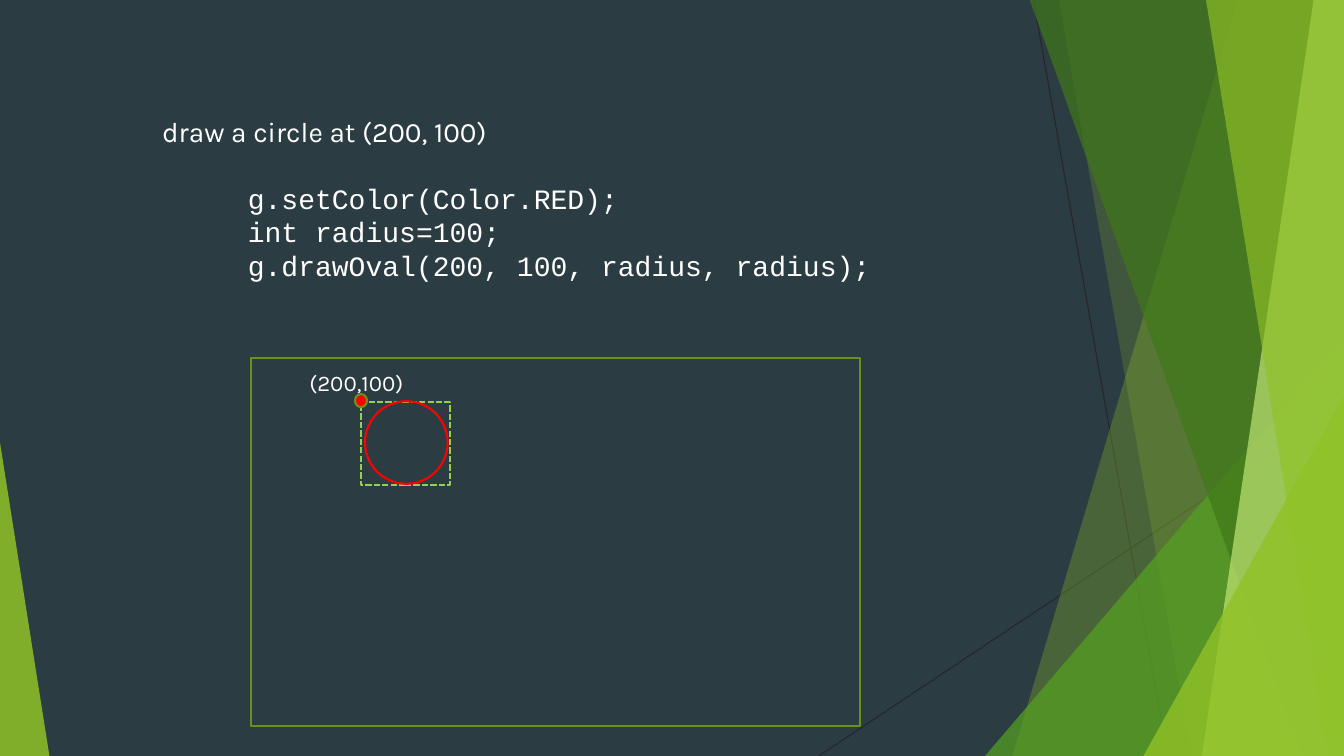
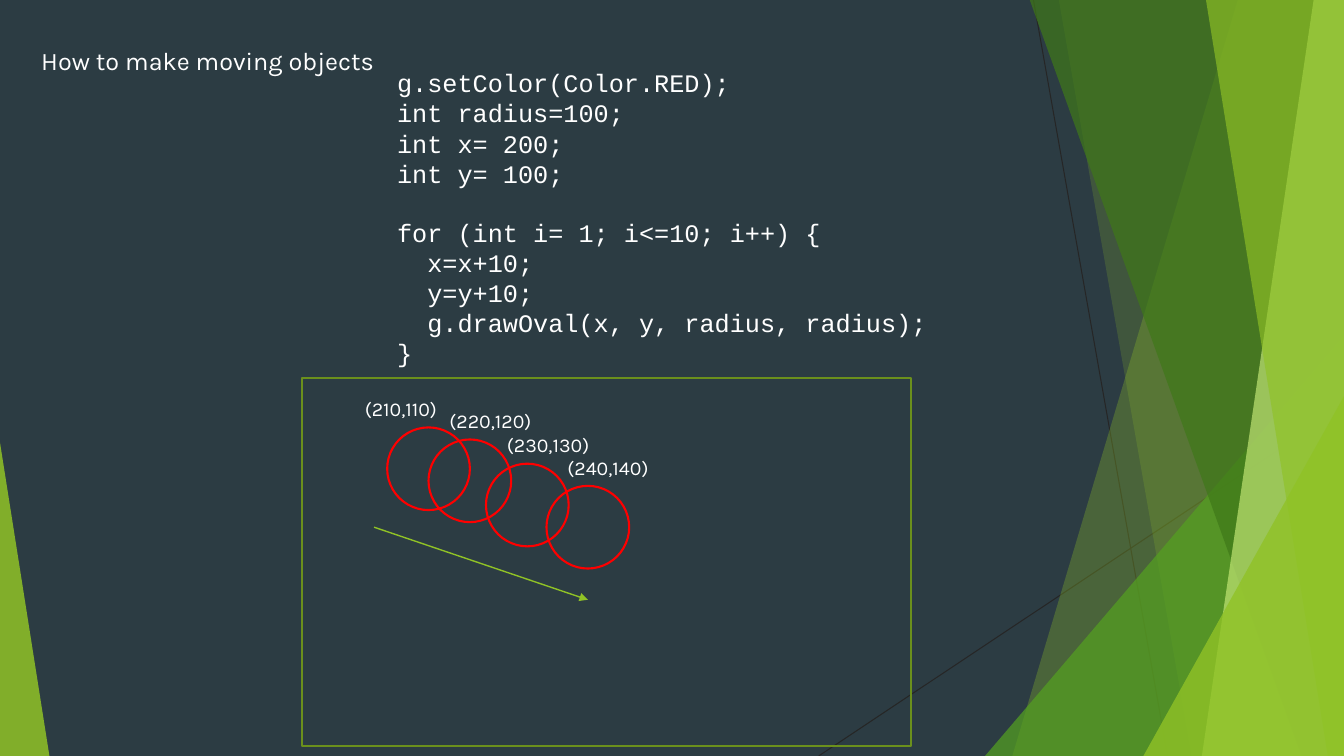
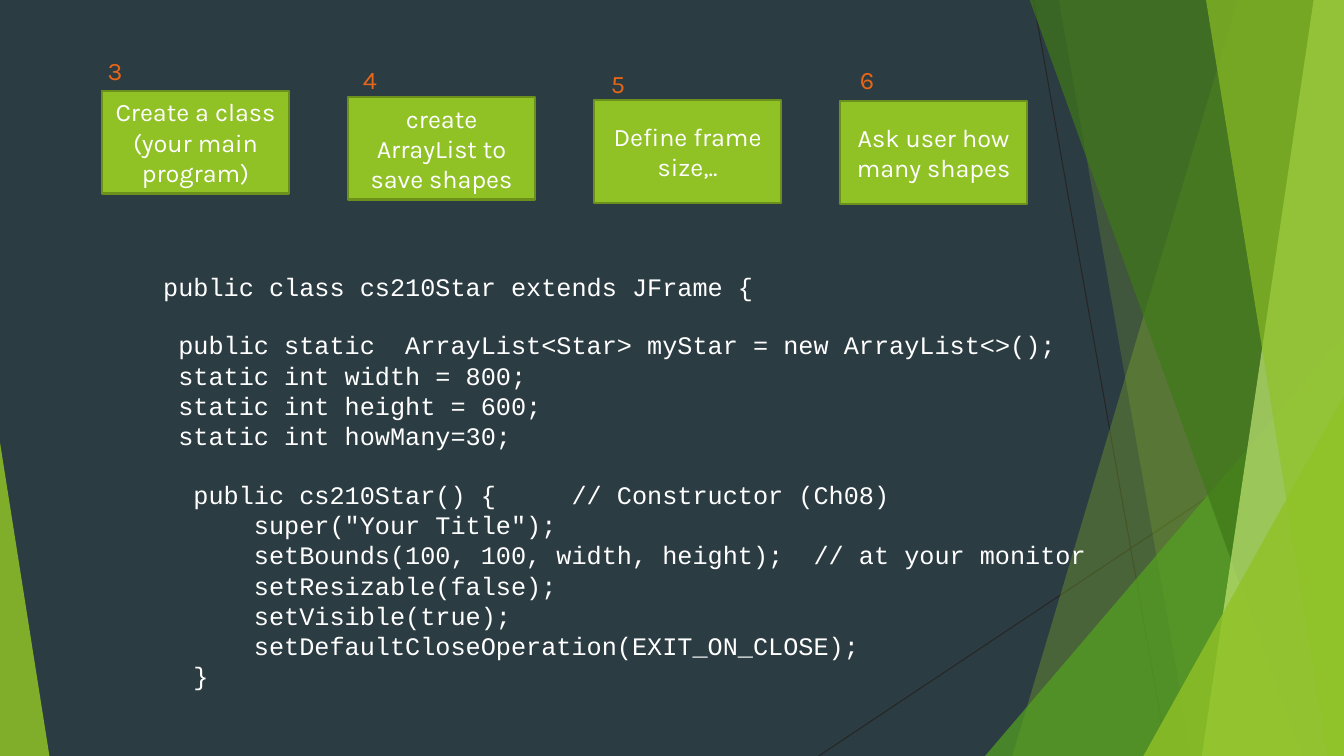
from dataclasses import dataclass

from lxml.etree import SubElement
from pptx import Presentation
from pptx.dml.color import RGBColor
from pptx.enum.dml import MSO_LINE
from pptx.enum.shapes import MSO_CONNECTOR, MSO_SHAPE
from pptx.enum.text import MSO_ANCHOR, MSO_AUTO_SIZE, PP_ALIGN
from pptx.oxml.ns import qn
from pptx.shapes.autoshape import Shape
from pptx.shapes.connector import Connector
from pptx.slide import Slide
from pptx.text.text import TextFrame
from pptx.util import Inches, Pt

COLS, ROWS = 133.3, 75
NIGHT, LIME, OLIVE, LEAF = "2C3C43", "90C226", "6B901C", "92D050"
WHITE, RED, RUST, INK = "FFFFFF", "FF0000", "E76618", "262626"
SANS, MONO = "Karla", "Courier New"


@dataclass(frozen=True)
class Band:
    """A strip from a slanted left edge to the right slide edge."""
    head: float
    foot: float
    tint: str
    alpha: int

    def draw(self, slide: Slide) -> None:
        """Draw the strip."""
        pen = slide.shapes.build_freeform(grid(self.head), grid(-0.1))
        edge = [(COLS, -0.1), (COLS, ROWS), (self.foot, ROWS)]
        pen.add_line_segments([(grid(x), grid(y)) for x, y in edge])
        style(pen.convert_to_shape(), self.tint, alpha=self.alpha)


@dataclass(frozen=True)
class Wedge:
    """A right triangle standing on the slide's bottom edge."""
    left: float
    top: float
    wide: float
    apex: float
    tint: str
    alpha: int

    def draw(self, slide: Slide) -> None:
        """Draw the triangle."""
        box = (self.left, self.top, self.wide, ROWS - self.top)
        shape = add(slide, MSO_SHAPE.ISOSCELES_TRIANGLE, box)
        shape.adjustments[0] = self.apex
        style(shape, self.tint, alpha=self.alpha)


@dataclass(frozen=True)
class Row:
    """A line of text, its tab columns and the blank rows above it."""
    text: str
    tabs: tuple[int, ...] = ()
    gap: int = 0


@dataclass(frozen=True)
class Ring:
    """A circle and the label above it."""
    left: float
    top: float
    mark: str
    shift: float = 1.1


@dataclass(frozen=True)
class Step:
    """A numbered box of the process."""
    num: str
    top: float
    num_x: float
    num_y: float
    text: tuple[str, ...]


SCENE = (
    Band(122.8, 100.4, LIME, 30),
    Band(105, 118.2, LIME, 20),
    Wedge(97.7, 33.3, 35.6, 1, "54A021", 72),
    Band(102.1, 129.1, "3F7819", 70),
    Band(130.3, 119.2, "C0E474", 70),
    Band(119.6, 131.7, LIME, 65),
    Wedge(113.4, 39.3, 19.9, 1, LIME, 80),
    Wedge(0, 43.9, 4.9, 0, LIME, 85),
)
CIRCLE = (
    Row("g.setColor(Color.RED);"),
    Row("int radius=100;"),
    Row("g.drawOval(200, 100, radius, radius);"),
)
MOVING = (
    Row("g.setColor(Color.RED);"),
    Row("int radius=100;"),
    Row("int x= 200;"),
    Row("int y= 100;"),
    Row("for (int i= 1; i<=10; i++) {", gap=1),
    Row("\tx=x+10;", (2,)),
    Row("\ty=y+10;", (2,)),
    Row("\tg.drawOval(x, y, radius, radius);", (2,)),
    Row("}"),
)
STAR = (
    Row("public class cs210Star extends JFrame {"),
    Row("\tpublic static\tArrayList<Star> myStar = new ArrayList<>();", (1, 16), 1),
    Row("\tstatic int width = 800;", (1,)),
    Row("\tstatic int height = 600;", (1,)),
    Row("\tstatic int howMany=30;", (1,)),
    Row("\tpublic cs210Star() {\t// Constructor (Ch08)", (2, 27), 1),
    Row('\tsuper("Your Title");', (6,)),
    Row("\tsetBounds(100, 100, width, height);\t// at your monitor", (6, 43)),
    Row("\tsetResizable(false);", (6,)),
    Row("\tsetVisible(true);", (6,)),
    Row("\tsetDefaultCloseOperation(EXIT_ON_CLOSE);", (6,)),
    Row("\t}", (2,)),
)
RINGS = (
    Ring(38.4, 42.4, "(210,110)", -3.2),
    Ring(42.5, 43.6, "(220,120)"),
    Ring(48.2, 46, "(230,130)"),
    Ring(54.2, 48.2, "(240,140)"),
)
STEPS = (
    Step("3", 9, 9.7, 5, ("Create a class", "(your main program)")),
    Step("4", 9.6, 35, 5.9, ("create ArrayList to save shapes",)),
    Step("5", 9.9, 59.6, 6.3, ("Define frame size,..",)),
    Step("6", 10, 84.3, 5.9, ("Ask user how many shapes",)),
)


def grid(count: float) -> int:
    """Turn grid cells, ten to the inch, into a length."""
    return Inches(count / 10)


def hue(code: str) -> RGBColor:
    """Turn a hex string into a colour."""
    return RGBColor.from_string(code)


def add(slide: Slide, kind: MSO_SHAPE, box: tuple[float, ...]) -> Shape:
    """Add a preset shape at left, top, width and height in cells."""
    return slide.shapes.add_shape(kind, *map(grid, box))


def style(shape: Shape, fill: str = "", line: str = "", alpha: int = 100) -> None:
    """Set a shape's fill and outline and drop its shadow."""
    shape.shadow.inherit = False
    if fill:
        shape.fill.solid()
        shape.fill.fore_color.rgb = hue(fill)
        if alpha < 100:
            tint = shape._element.spPr.find(f".//{qn('a:srgbClr')}")
            SubElement(tint, qn("a:alpha"), val=str(alpha * 1000))
    else:
        shape.fill.background()
    if line:
        shape.line.color.rgb = hue(line)
        shape.line.width = Pt(1.5)
    else:
        shape.line.fill.background()


def link(slide: Slide, ends: tuple[float, ...], tint: str, wide: float) -> Connector:
    """Draw a straight line between two grid points."""
    line = slide.shapes.add_connector(MSO_CONNECTOR.STRAIGHT, *map(grid, ends))
    line.line.color.rgb = hue(tint)
    line.line.width = Pt(wide)
    SubElement(line._element.spPr, qn("a:effectLst"))
    return line


def write(frame: TextFrame, rows: tuple[Row, ...], size: float, font: str = SANS,
          tint: str = WHITE, align: PP_ALIGN = PP_ALIGN.LEFT) -> None:
    """Write rows as paragraphs of one run each."""
    for num, row in enumerate(rows):
        para = frame.add_paragraph() if num else frame.paragraphs[0]
        para.alignment = align
        if row.gap:
            para.space_before = Pt(row.gap * size * 1.13)
        if row.tabs:
            stops = SubElement(para._p.get_or_add_pPr(), qn("a:tabLst"))
            for col in row.tabs:
                SubElement(stops, qn("a:tab"), pos=str(Pt(col * size * 0.6)), algn="l")
        run = para.add_run()
        run.text = row.text
        run.font.size = Pt(size)
        run.font.name = font
        run.font.color.rgb = hue(tint)


def note(slide: Slide, box: tuple[float, ...], rows: tuple[Row, ...], size: float,
         font: str = SANS, tint: str = WHITE, wrap: bool = False) -> None:
    """Add a text box that grows with its text."""
    frame = slide.shapes.add_textbox(*map(grid, box)).text_frame
    frame.word_wrap = wrap
    frame.auto_size = MSO_AUTO_SIZE.SHAPE_TO_FIT_TEXT
    write(frame, rows, size, font, tint)


def code(slide: Slide, box: tuple[float, ...], rows: tuple[Row, ...], size: float) -> None:
    """Add a program listing."""
    note(slide, box, rows, size, MONO, wrap=True)


def canvas(slide: Slide, left: float, top: float) -> None:
    """Draw the frame of the drawing window."""
    style(add(slide, MSO_SHAPE.RECTANGLE, (left, top, 60.4, 36.5)), line=OLIVE)


def ring(slide: Slide, left: float, top: float) -> None:
    """Draw a red circle."""
    style(add(slide, MSO_SHAPE.OVAL, (left, top, 8.2, 8.2)), line=RED)


def scene(slide: Slide) -> None:
    """Draw the shared backdrop and move it to the slide's layout."""
    link(slide, (102.5, 0, 115.8, ROWS), INK, 0.75)
    link(slide, (COLS, 40.3, 81.2, ROWS), INK, 0.75)
    for part in SCENE:
        part.draw(slide)
    layout = slide.slide_layout
    layout.background.fill.solid()
    layout.background.fill.fore_color.rgb = hue(NIGHT)
    for shape in list(slide.shapes):
        layout.shapes._spTree.append(shape._element)


def circle(slide: Slide) -> None:
    """Show one circle and its corner point."""
    note(slide, (15.1, 10.9, 35.4, 4.4), (Row("draw a circle at (200, 100)"),), 20)
    code(slide, (23.6, 17.5, 66.7, 11.1), CIRCLE, 20)
    canvas(slide, 24.9, 35.5)
    bounds = add(slide, MSO_SHAPE.RECTANGLE, (35.8, 39.9, 8.8, 8.2))
    style(bounds, line=LEAF)
    bounds.line.dash_style = MSO_LINE.SQUARE_DOT
    note(slide, (29.7, 36.1, 11.5, 3.7), (Row("(200,100)"),), 16)
    style(add(slide, MSO_SHAPE.OVAL, (35.2, 39.1, 1.2, 1.3)), RED, OLIVE)
    ring(slide, 36.2, 39.8)


def moving(slide: Slide) -> None:
    """Show a circle moving in steps."""
    note(slide, (3.1, 4, 35.1, 4), (Row("How to make moving objects"),), 18)
    code(slide, (38.4, 6.2, 66.7, 31.3), MOVING, 18)
    canvas(slide, 30, 37.5)
    for item in RINGS:
        box = (item.left + item.shift, item.top - 3.5, 10.4, 3.4)
        note(slide, box, (Row(item.mark),), 14)
        ring(slide, item.left, item.top)
    arrow = link(slide, (37.1, 52.3, 58.3, 59.5), LIME, 1)
    SubElement(arrow._element.spPr.find(qn("a:ln")), qn("a:tailEnd"), type="triangle")


def star(slide: Slide) -> None:
    """Show the program's steps and its class."""
    code(slide, (15.2, 26.4, 107.5, 49.5), STAR, 18)
    for num, step in enumerate(STEPS):
        box = add(slide, MSO_SHAPE.RECTANGLE, (10.1 + 24.4 * num, step.top, 18.6, 10.2))
        style(box, LIME, OLIVE)
        box.text_frame.word_wrap = True
        box.text_frame.vertical_anchor = MSO_ANCHOR.MIDDLE
        rows = tuple(Row(text) for text in step.text)
        write(box.text_frame, rows, 18, align=PP_ALIGN.CENTER)
        note(slide, (step.num_x, step.num_y, 2.7, 4), (Row(step.num),), 18,
             tint=RUST, wrap=True)


def main() -> None:
    """Build and save the deck."""
    deck = Presentation()
    deck.slide_width, deck.slide_height = grid(COLS), grid(ROWS)
    blank = deck.slide_layouts[6]
    for num, fill in enumerate((circle, moving, star)):
        slide = deck.slides.add_slide(blank)
        if num == 0:
            scene(slide)
        fill(slide)
    deck.save("out.pptx")


if __name__ == "__main__":
    main()
